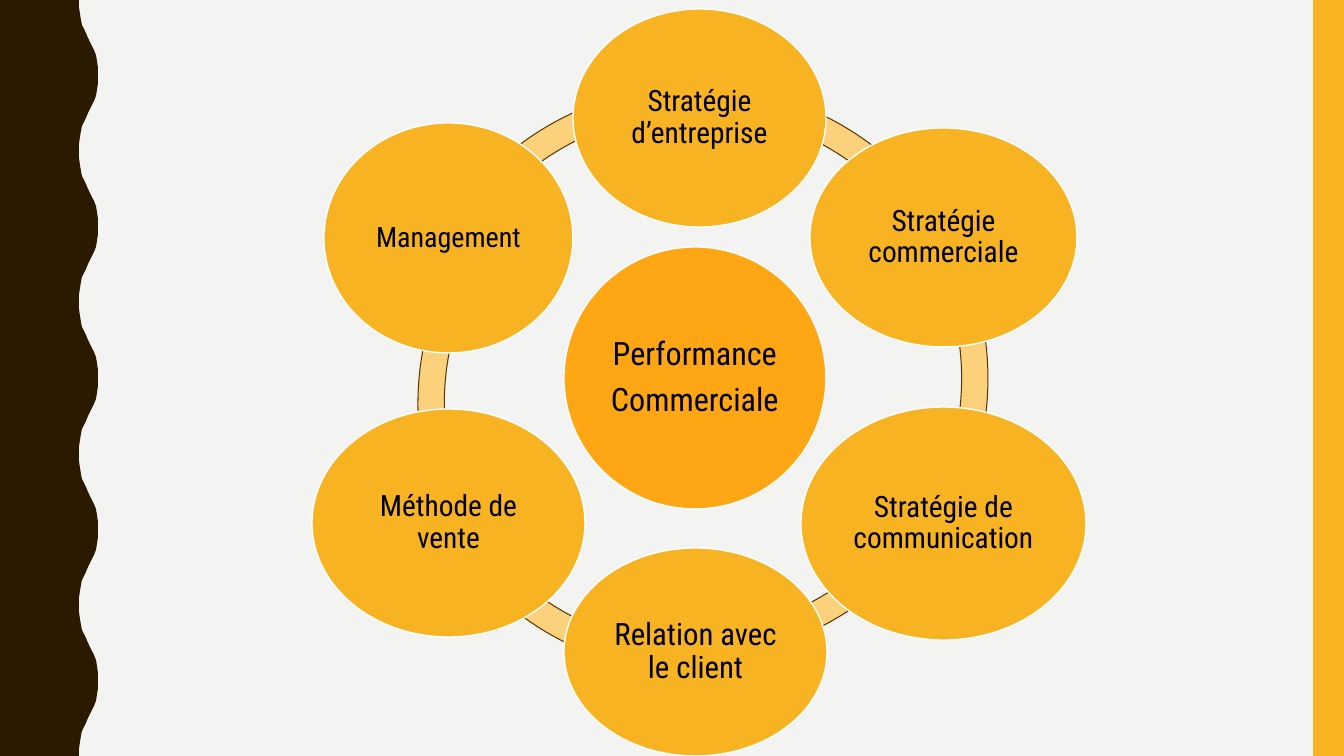
"""Build a slide with a ring of six commercial performance drivers around a centre."""
from dataclasses import dataclass

from pptx import Presentation, util as u
from pptx.dml.color import RGBColor
from pptx.enum import shapes, text

PX = 914400 / 100.8
W, H = 1344, 756
FONT = "Roboto Condensed"
COLORS = {
    "page": "F3F3F2",
    "wave": "2A1A00",
    "driver": "F8B323",
    "centre": "FFA615",
    "arc": "FBD17B",
    "arc_line": "593700",
    "white": "FFFFFF",
    "text": "000000",
}
WAVE_COUNT = 5
WAVE_X = [79, 79, 80, 81, 82, 84, 86, 88, 90, 92, 94, 96, 97, 98, 98]
WAVE_Y = [0, 7, 14, 20, 25, 29, 33, 38, 42, 46, 50, 55, 61, 68, 75]
ARC_SIZE = 585


@dataclass
class Arc:
    x: int
    y: int
    start: float
    end: float


@dataclass
class Bubble:
    label: str
    x: int
    y: int
    w: int
    h: int
    size: int = 21
    color: str = "driver"


ARCS = [
    Arc(389, 111, 129.24, 164.11),
    Arc(403, 88, 90, 126),
    Arc(395, 74, 53.05, 87.96),
    Arc(412, 74, 20.03, 55.18),
    Arc(403, 86, 198, 18),
    Arc(418, 111, 160.59, 194.72),
]
BUBBLES = [
    Bubble("Performance\nCommerciale", 564, 247, 262, 262, 23, "centre"),
    Bubble("Stratégie d’entreprise", 573, 9, 253, 218),
    Bubble("Stratégie commerciale", 810, 128, 267, 219),
    Bubble("Stratégie de communication", 801, 407, 285, 233),
    Bubble("Relation avec le client", 564, 548, 263, 208, 22),
    Bubble("Méthode de vente", 312, 409, 273, 228),
    Bubble("Management", 324, 123, 249, 230, 20),
]


def px(n: float) -> int:
    return round(n * PX)


def rgb(name: str) -> RGBColor:
    return RGBColor.from_string(COLORS[name])


def paint(sp, fill: str, line: str = "", width: float = 1) -> None:
    sp.shadow.inherit = False
    sp.fill.solid()
    sp.fill.fore_color.rgb = rgb(fill)
    if line:
        sp.line.color.rgb = rgb(line)
        sp.line.width = u.Pt(width)
    else:
        sp.line.fill.background()


def add_preset(s, kind, x: int, y: int, w: int, h: int):
    return s.shapes.add_shape(kind, px(x), px(y), px(w), px(h))


def add_wave(s) -> None:
    period = H / WAVE_COUNT
    half = list(zip(WAVE_X, WAVE_Y))
    points = []
    for i in range(WAVE_COUNT):
        points += [(x, round(i * period + y)) for x, y in half]
        points += [(x, round((i + 1) * period - y)) for x, y in reversed(half)]
    fb = s.shapes.build_freeform(0, 0, scale=PX)
    fb.add_line_segments(points + [(0, H)], close=True)
    paint(fb.convert_to_shape(), "wave")


def add_arc(s, arc: Arc) -> None:
    sp = add_preset(s, shapes.MSO_SHAPE.BLOCK_ARC, arc.x, arc.y, ARC_SIZE, ARC_SIZE)
    for i, value in enumerate((arc.start * 0.6, arc.end * 0.6, 0.045)):
        sp.adjustments[i] = value
    paint(sp, "arc", "arc_line", 0.75)


def add_bubble(s, b: Bubble) -> None:
    sp = add_preset(s, shapes.MSO_SHAPE.OVAL, b.x, b.y, b.w, b.h)
    paint(sp, b.color, "white")
    tf = sp.text_frame
    tf.text = b.label
    tf.word_wrap = True
    tf.vertical_anchor = text.MSO_ANCHOR.MIDDLE
    tf.margin_left = tf.margin_right = tf.margin_top = tf.margin_bottom = px(3)
    for p in tf.paragraphs:
        p.alignment = text.PP_ALIGN.CENTER
        p.line_spacing = 0.9
        p.space_after = u.Pt(8)
        for r in p.runs:
            r.font.name = FONT
            r.font.size = u.Pt(b.size)
            r.font.color.rgb = rgb("text")


def main() -> None:
    prs = Presentation()
    prs.slide_width, prs.slide_height = px(W), px(H)
    s = prs.slides.add_slide(prs.slide_layouts[6])
    s.background.fill.solid()
    s.background.fill.fore_color.rgb = rgb("page")
    add_wave(s)
    paint(add_preset(s, shapes.MSO_SHAPE.RECTANGLE, 1313, 0, 31, H), "driver")
    for arc in ARCS:
        add_arc(s, arc)
    for b in BUBBLES:
        add_bubble(s, b)
    prs.save("out.pptx")


if __name__ == "__main__":
    main()
